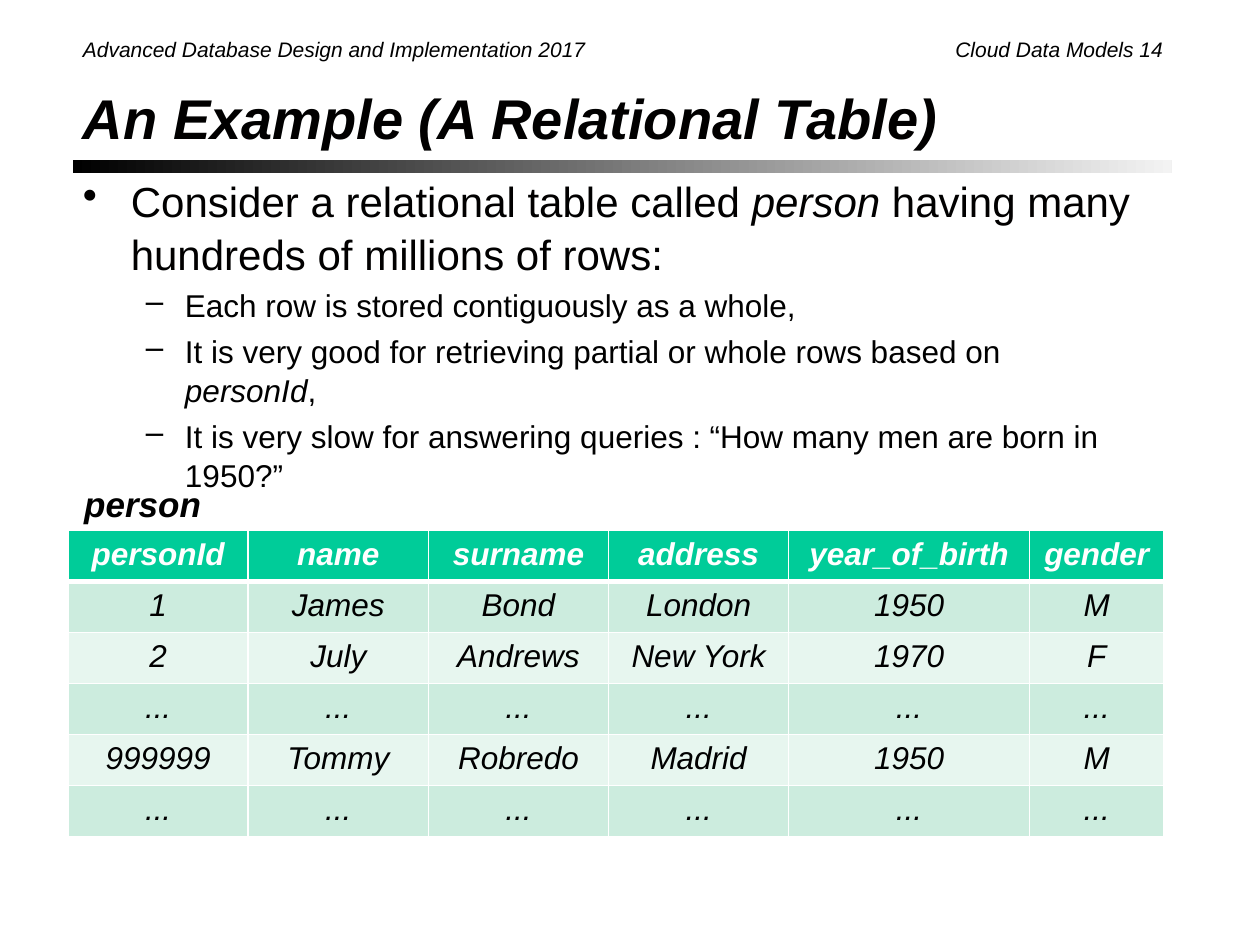
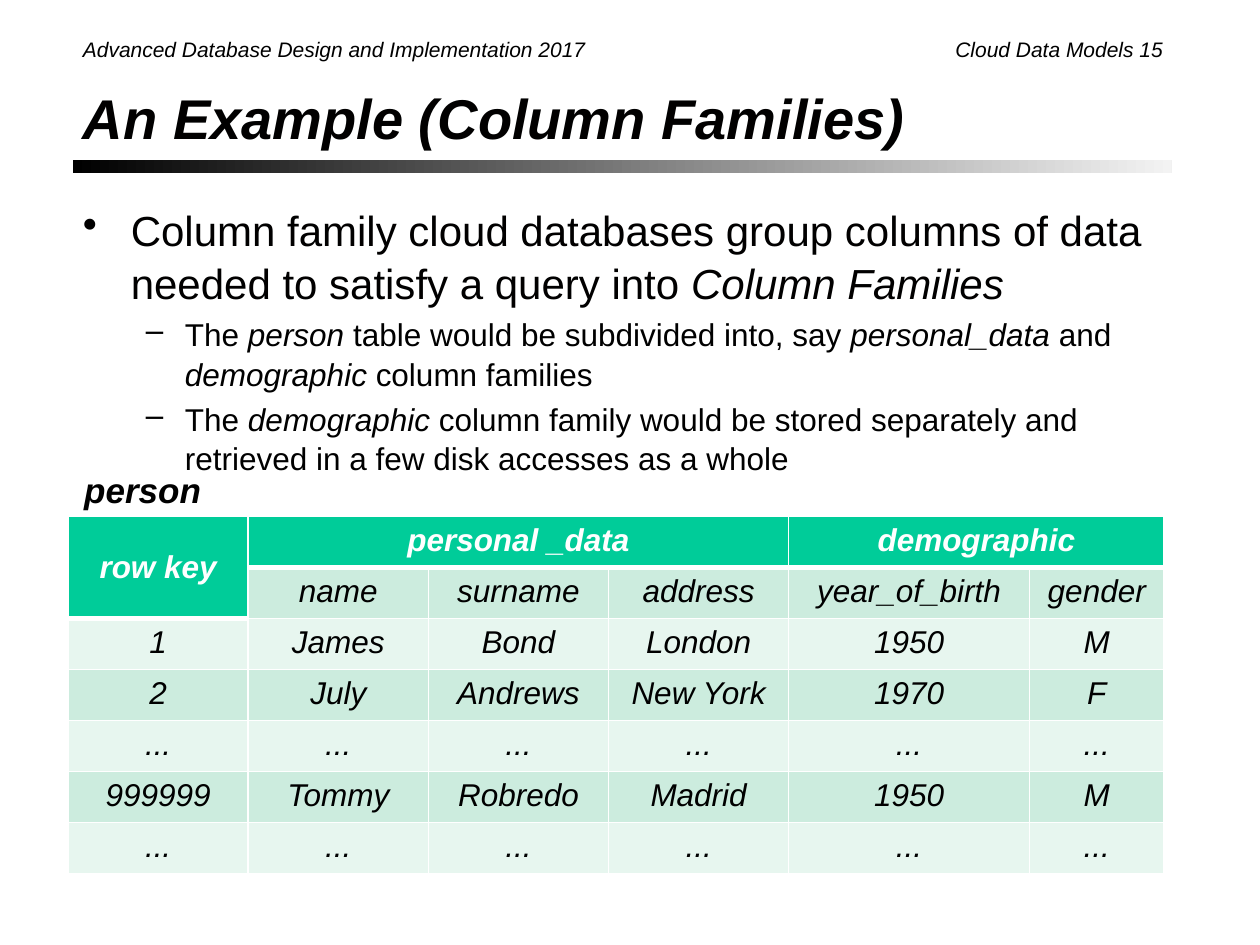
from lxml import etree
from pptx import Presentation
from pptx.dml.color import RGBColor
from pptx.enum.shapes import MSO_SHAPE
from pptx.enum.text import MSO_ANCHOR, PP_ALIGN
from pptx.oxml.ns import qn
from pptx.util import Inches, Pt

RECTANGLE = MSO_SHAPE.RECTANGLE
TOP, MIDDLE = MSO_ANCHOR.TOP, MSO_ANCHOR.MIDDLE
LEFT, CENTER, RIGHT = PP_ALIGN.LEFT, PP_ALIGN.CENTER, PP_ALIGN.RIGHT

FONT = "Arial"
BLACK, INK, WHITE, PALE_GREY = "000000", "010000", "FFFFFF", "F3F3F3"
GREEN, BANDS = "00CC99", ("CCECDE", "E7F6EF")
COLUMN_WIDTHS = (1.43, 1.43, 1.43, 1.43, 1.91, 1.07)
ROW_HEIGHT = 0.405
HEADER_BORDERS = (("a:lnL", 1), ("a:lnR", 1), ("a:lnT", 1), ("a:lnB", 3))
# Bullet sign, left indent, hanging indent, size, colour and space before, by level
LEVELS = (("•", 0.38, 0.38, 24, INK, 4.8), ("–", 0.81, 0.31, 18, BLACK, 3.6))

COLUMNS = ["name", "surname", "address", "year_of_birth", "gender"]
GAP_ROW = ["..."] * 6
PEOPLE = [
    ["1", "James", "Bond", "London", "1950", "M"],
    ["2", "July", "Andrews", "New York", "1970", "F"],
    GAP_ROW,
    ["999999", "Tommy", "Robredo", "Madrid", "1950", "M"],
    GAP_ROW,
]


def rgb(color):
    return RGBColor.from_string(color)


def set_font(font, size, color, bold=False, italic=None):
    font.name, font.size, font.bold, font.italic = FONT, Pt(size), bold, italic
    font.color.rgb = rgb(color)


def add_text_frame(slide, box, anchor=TOP, wrap=True):
    frame = slide.shapes.add_textbox(*map(Inches, box)).text_frame
    frame.word_wrap, frame.vertical_anchor = wrap, anchor
    return frame


def add_label(slide, box, text, size, color=BLACK, bold=False,
              align=LEFT, anchor=TOP, wrap=True):
    """Add one line of italic text."""
    paragraph = add_text_frame(slide, box, anchor, wrap).paragraphs[0]
    paragraph.text, paragraph.alignment = text, align
    set_font(paragraph.font, size, color, bold, italic=True)


def add_frame(slide, title, number):
    """Add the running header, the title and the rule below it."""
    add_label(slide, (0.56, 0.25, 4.67, 0.28),
              "Advanced Database Design and Implementation 2017", 12,
              anchor=MIDDLE, wrap=False)
    add_label(slide, (4.73, 0.24, 4.6, 0.3), f"Cloud Data Models {number}", 12, align=RIGHT)
    rule = slide.shapes.add_shape(RECTANGLE, *map(Inches, (0.58, 1.27, 8.72, 0.1)))
    rule.shadow.inherit = False
    rule.line.fill.background()
    rule.fill.gradient()
    rule.fill.gradient_angle = 0
    for stop, position, color in zip(rule.fill.gradient_stops, (0, 1), (BLACK, PALE_GREY)):
        stop.position, stop.color.rgb = position, rgb(color)
    add_label(slide, (0.56, 0.47, 8.75, 0.92), title, 32, INK, bold=True, anchor=MIDDLE)


def add_bullets(slide, box, points):
    """Add (level, text) points; text between asterisks is italic."""
    frame = add_text_frame(slide, box)
    for index, (level, text) in enumerate(points):
        sign, indent, hanging, size, color, space = LEVELS[level]
        paragraph = frame.add_paragraph() if index else frame.paragraphs[0]
        paragraph.level = level
        paragraph.space_before = Pt(space)
        paragraph.line_spacing = 1.04
        set_font(paragraph.font, size, color)
        properties = paragraph._p.get_or_add_pPr()
        properties.set("marL", str(Inches(indent)))
        properties.set("indent", str(-Inches(hanging)))
        bullet = etree.Element(qn("a:buChar"), char=sign)
        properties.find(qn("a:defRPr")).addprevious(bullet)
        for part, piece in enumerate(text.split("*")):
            if piece:
                run = paragraph.add_run()
                run.text = piece
                set_font(run.font, size, color, italic=part % 2 == 1)


def add_header_borders(cell):
    properties = cell._tc.get_or_add_tcPr()
    for position, (tag, width) in enumerate(HEADER_BORDERS):
        line = etree.Element(qn(tag), w=str(Pt(width)))
        fill = etree.SubElement(line, qn("a:solidFill"))
        etree.SubElement(fill, qn("a:srgbClr"), val=WHITE)
        properties.insert(position, line)


def add_person_table(slide, top, rows, merges=()):
    """Add the label and the table; a merge is (first row, first column, last row, last column)."""
    left = 0.54
    add_label(slide, (left + 0.03, top - 0.43, 1.21, 0.44), "person", 20, bold=True)
    table = slide.shapes.add_table(
        len(rows), len(COLUMN_WIDTHS), Inches(left), Inches(top),
        Inches(sum(COLUMN_WIDTHS)), Inches(ROW_HEIGHT * len(rows))).table
    table.horz_banding = False
    for column, width in zip(table.columns, COLUMN_WIDTHS):
        column.width = Inches(width)
    merged_down = {(row, first_column) for first_row, first_column, last_row, _ in merges
                   for row in range(first_row, last_row + 1) if last_row > first_row}
    for row, texts in enumerate(rows):
        table.rows[row].height = Inches(ROW_HEIGHT)
        for column, text in enumerate(texts):
            cell = table.cell(row, column)
            is_header = row == 0 or (row, column) in merged_down
            cell.fill.solid()
            cell.fill.fore_color.rgb = rgb(GREEN if is_header else BANDS[(row - 1) % 2])
            if is_header:
                add_header_borders(cell)
            if (row, column) in merged_down:
                cell.vertical_anchor = MIDDLE
            paragraph = cell.text_frame.paragraphs[0]
            paragraph.alignment = CENTER
            if text:
                paragraph.text = text
                set_font(paragraph.runs[0].font, 18, WHITE if is_header else BLACK,
                         is_header, italic=True)
    for first_row, first_column, last_row, last_column in merges:
        table.cell(first_row, first_column).merge(table.cell(last_row, last_column))


def add_relational_slide(slide):
    add_frame(slide, "An Example (A Relational Table)", 14)
    add_bullets(slide, (0.56, 1.33, 8.58, 5.32), [
        (0, "Consider a relational table called *person* having many hundreds of millions of rows:"),
        (1, "Each row is stored contiguously as a whole,"),
        (1, "It is very good for retrieving partial or whole rows based on *personId*,"),
        (1, "It is very slow for answering queries : “How many men are born in 1950?”"),
    ])
    add_person_table(slide, 4.21, [["personId"] + COLUMNS] + PEOPLE)


def add_column_families_slide(slide):
    add_frame(slide, "An Example (Column Families)", 15)
    add_bullets(slide, (0.56, 1.56, 8.77, 5.67), [
        (0, "Column family cloud databases group columns of data needed to satisfy "
            "a query into *Column Families*"),
        (1, "The *person* table would be subdivided into, say *personal_data* and "
            "*demographic* column families"),
        (1, "The *demographic* column family would be stored separately and "
            "retrieved in a few disk accesses as a whole"),
    ])
    families = ["row key", "personal _data", "", "", "demographic", ""]
    add_person_table(slide, 4.1, [families, [""] + COLUMNS] + PEOPLE,
                     merges=[(0, 0, 1, 0), (0, 1, 0, 3), (0, 4, 0, 5)])


def main():
    presentation = Presentation()
    presentation.slide_width, presentation.slide_height = Inches(10), Inches(7.5)
    blank = presentation.slide_layouts[6]
    for build in (add_relational_slide, add_column_families_slide):
        build(presentation.slides.add_slide(blank))
    presentation.save("out.pptx")


if __name__ == "__main__":
    main()
